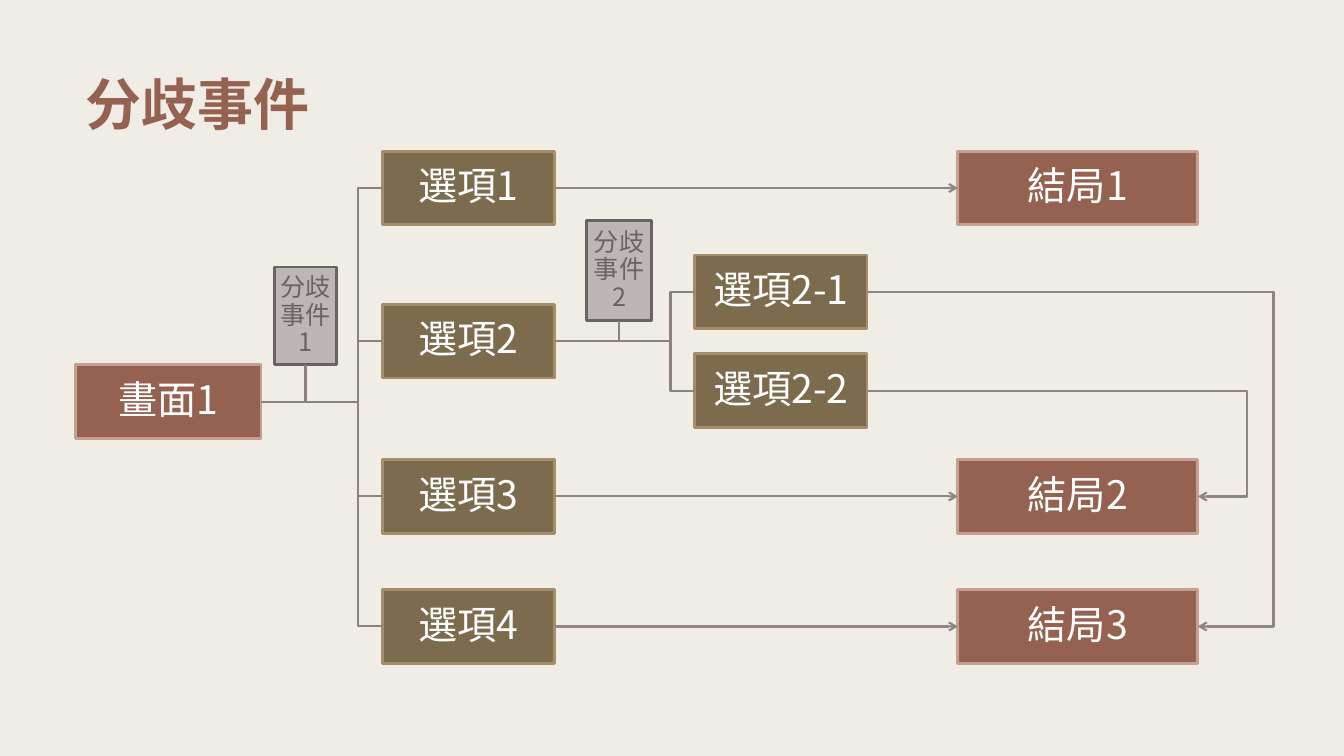
from lxml import etree
from pptx import Presentation
from pptx.dml.color import RGBColor
from pptx.enum.shapes import MSO_CONNECTOR, MSO_SHAPE
from pptx.enum.text import MSO_ANCHOR, PP_ALIGN
from pptx.oxml.ns import qn
from pptx.util import Inches, Pt

RECT = MSO_SHAPE.RECTANGLE
STRAIGHT = MSO_CONNECTOR.STRAIGHT
ELBOW = MSO_CONNECTOR.ELBOW
CENTER = PP_ALIGN.CENTER
MIDDLE = MSO_ANCHOR.MIDDLE
TOP_SIDE, LEFT_SIDE, BOTTOM_SIDE, RIGHT_SIDE = range(4)

FONT = "Noto Sans CJK SC"
CREAM = RGBColor(0xF0, 0xED, 0xE6)
RUST = RGBColor(0x95, 0x62, 0x51)
ROSE = RGBColor(0xC4, 0x9F, 0x92)
OLIVE = RGBColor(0x7C, 0x6B, 0x4D)
SAND = RGBColor(0xA2, 0x8E, 0x6A)
MAUVE = RGBColor(0xBD, 0xB5, 0xB6)
SLATE = RGBColor(0x69, 0x64, 0x64)
WHITE = RGBColor(0xFF, 0xFF, 0xFF)
BRANCH = RGBColor(0x8E, 0x81, 0x82)
ARROW = RGBColor(0x91, 0x84, 0x85)

BOX_HEIGHT = 0.73
OPTION_WIDTH = 1.71
OPTION_X, SUBOPTION_X, ENDING_X = 3.79, 6.89, 9.5
OPTION_TOPS = [1.5, 3.02, 4.56, 5.85]
SUBOPTION_TOPS = [2.53, 3.51]


def set_text(tf, text, size, color, margin, bold=False):
    tf.word_wrap = True
    tf.vertical_anchor = MIDDLE
    tf.margin_left = tf.margin_right = Inches(margin)
    tf.margin_top = tf.margin_bottom = Inches(margin)
    p = tf.paragraphs[0]
    p.line_spacing = 0.9
    r = p.add_run()
    r.text = text
    r.font.size = Pt(size)
    r.font.bold = bold
    r.font.color.rgb = color
    r.font.name = FONT
    etree.SubElement(r.font._element, qn("a:ea"), typeface=FONT)
    return p


def add_title(s, text):
    sp = s.shapes.add_textbox(Inches(0.75), Inches(0.65), Inches(3.42), Inches(0.84))
    set_text(sp.text_frame, text, 40, RUST, 0.1, bold=True)


def add_box(s, text, x, y, w, h, fill, border, size=28, color=WHITE, margin=0.02):
    sp = s.shapes.add_shape(RECT, Inches(x), Inches(y), Inches(w), Inches(h))
    sp.shadow.inherit = False
    sp.fill.solid()
    sp.fill.fore_color.rgb = fill
    sp.line.color.rgb = border
    sp.line.width = Pt(2)
    set_text(sp.text_frame, text, size, color, margin).alignment = CENTER
    return sp


def add_option(s, text, x, y):
    return add_box(s, text, x, y, OPTION_WIDTH, BOX_HEIGHT, OLIVE, SAND)


def add_screen(s, text, x, y, w):
    return add_box(s, text, x, y, w, BOX_HEIGHT, RUST, ROSE)


def add_event(s, text, x, y, w, h):
    return add_box(s, text, x, y, w, h, MAUVE, SLATE, 18, SLATE, 0.01)


def side(sp, index):
    if index == BOTTOM_SIDE:
        return sp.left + sp.width // 2, sp.top + sp.height
    x = sp.left if index == LEFT_SIDE else sp.left + sp.width
    return x, sp.top + sp.height // 2


def add_line(s, kind, start, end, color, arrow=False):
    line = s.shapes.add_connector(kind, *start, *end)
    line.line.color.rgb = color
    line.line.width = Pt(1.5)
    if arrow:
        etree.SubElement(line.line._get_or_add_ln(), qn("a:tailEnd"), type="arrow")
    etree.SubElement(line._element.spPr, qn("a:effectLst"))
    return line


def add_elbow(s, source, target, target_side, turn_x, color, arrow=False):
    start, end = side(source, RIGHT_SIDE), side(target, target_side)
    line = add_line(s, ELBOW, start, end, color, arrow)
    ratio = (Inches(turn_x) - start[0]) / (end[0] - start[0])
    guides = line._element.spPr.find(qn("a:prstGeom")).get_or_add_avLst()
    etree.SubElement(guides, qn("a:gd"), name="adj1", fmla=f"val {round(ratio * 100000)}")


def add_arrow(s, source, target):
    line = add_line(s, STRAIGHT, side(source, RIGHT_SIDE), side(target, LEFT_SIDE), ARROW, True)
    line.begin_connect(source, RIGHT_SIDE)
    line.end_connect(target, LEFT_SIDE)


def add_event_stem(s, event, source):
    x, y = side(event, BOTTOM_SIDE)
    line = add_line(s, STRAIGHT, (x, y), (x, side(source, RIGHT_SIDE)[1]), BRANCH)
    line.begin_connect(event, BOTTOM_SIDE)


def main():
    prs = Presentation()
    prs.slide_width, prs.slide_height = Inches(13.33), Inches(7.5)
    s = prs.slides.add_slide(prs.slide_layouts[6])
    s.background.fill.solid()
    s.background.fill.fore_color.rgb = CREAM

    add_title(s, "分歧事件")
    scene = add_screen(s, "畫面1", 0.75, 3.62, 1.84)
    options = [add_option(s, f"選項{n}", OPTION_X, y)
               for n, y in enumerate(OPTION_TOPS, 1)]
    suboptions = [add_option(s, f"選項2-{n}", SUBOPTION_X, y)
                  for n, y in enumerate(SUBOPTION_TOPS, 1)]
    ending_options = [options[0], options[2], options[3]]
    endings = [add_screen(s, f"結局{n}", ENDING_X, option.top.inches, 2.38)
               for n, option in enumerate(ending_options, 1)]
    first_event = add_event(s, "分歧事件1", 2.72, 2.65, 0.62, 0.97)
    second_event = add_event(s, "分歧事件2", 5.82, 2.19, 0.64, 0.99)

    for option in options:
        add_elbow(s, scene, option, LEFT_SIDE, 3.55, BRANCH)
    for suboption in suboptions:
        add_elbow(s, options[1], suboption, LEFT_SIDE, 6.65, BRANCH)
    add_event_stem(s, first_event, scene)
    add_event_stem(s, second_event, options[1])
    for option, ending in zip(ending_options, endings):
        add_arrow(s, option, ending)
    add_elbow(s, suboptions[0], endings[2], RIGHT_SIDE, 12.63, ARROW, True)
    add_elbow(s, suboptions[1], endings[1], RIGHT_SIDE, 12.37, ARROW, True)

    prs.save("out.pptx")


if __name__ == "__main__":
    main()
